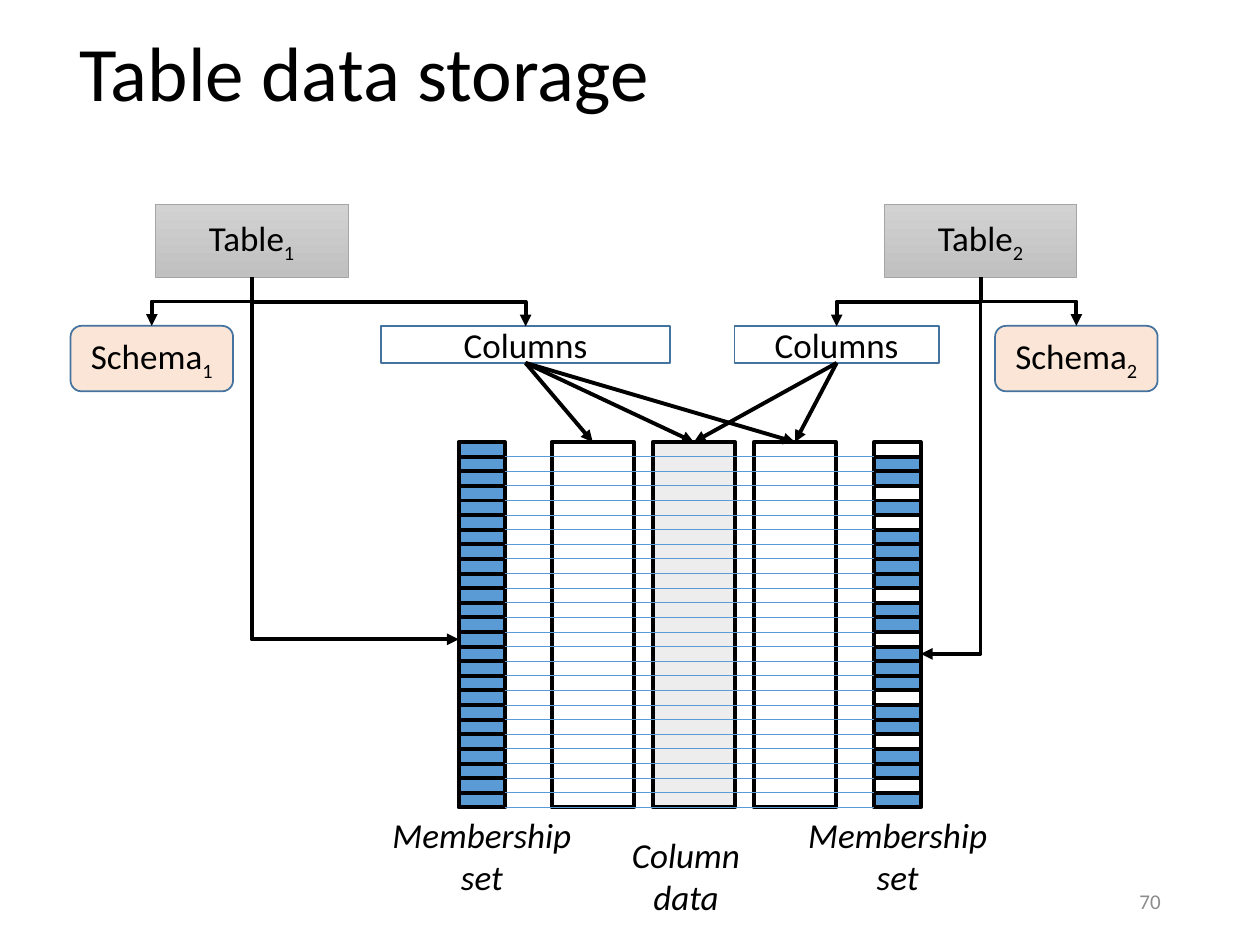
from lxml.etree import SubElement
from pptx import Presentation
from pptx.dml.color import RGBColor
from pptx.enum.shapes import MSO_CONNECTOR as Link, MSO_SHAPE as Shape
from pptx.enum.text import MSO_ANCHOR as Anchor, MSO_AUTO_SIZE as AutoSize, PP_ALIGN as Align
from pptx.oxml.ns import qn
from pptx.util import Pt

BLACK = RGBColor(0x00, 0x00, 0x00)
WHITE = RGBColor(0xFF, 0xFF, 0xFF)
BLUE = RGBColor(0x5B, 0x9B, 0xD5)
DARK_BLUE = RGBColor(0x43, 0x73, 0x9E)
PEACH = RGBColor(0xFB, 0xE5, 0xD6)
PALE_GRAY = RGBColor(0xED, 0xED, 0xED)
GRAY = RGBColor(0xA5, 0xA5, 0xA5)
NUMBER_GRAY = RGBColor(0x8C, 0x8C, 0x8C)
GRADIENT = RGBColor(0xD2, 0xD2, 0xD2), RGBColor(0xC0, 0xC0, 0xC0)

FONT = "Calibri"
TITLE = "Table data storage"
PAGE_NUMBER = "70"
TOP, BOTTOM, LEFT, RIGHT = 0, 2, 1, 3  # connection sites

ROWS = 25
ROW_HEIGHT = 8.35
DATA_TOP = 252.6
SET_WIDTH = 26.6
COLUMN_WIDTH = 47
COLUMN_LEFT, COLUMN_STEP = 315.2, 57.8
COLUMN_FILLS = [None, PALE_GRAY, None]

# Lefts (and widths) of the parts; set_row is the membership cell pointed at.
TABLES = [
    dict(number="1", table=88.7, schema=40.3, columns=(217.6, 165.4), set_left=262.1,
         uses=[0, 1, 2], set_row=13, set_side=LEFT, absent=[]),
    dict(number="2", table=505.2, schema=568.6, columns=(419.7, 116.8), set_left=499.6,
         uses=[2, 1], set_row=14, set_side=RIGHT, absent=[0, 3, 5, 10, 13, 17, 20, 23]),
]
LABELS = [  # lines, left, top, width
    (["Column", "data"], 353.5, 473, 77),
    (["Membership", "set"], 216.7, 461.5, 117.4),
    (["Membership", "set"], 454.3, 461.5, 117.4),
]


def write(frame, lines, size=20, color=BLACK, align=Align.CENTER, italic=None,
          anchor=Anchor.MIDDLE, wrap=True, subscript=""):
    frame.word_wrap = wrap
    frame.vertical_anchor = anchor
    for index, line in enumerate(lines):
        para = frame.add_paragraph() if index else frame.paragraphs[0]
        para.add_run().text = line
        if subscript:
            span = para.add_run()
            span.text = subscript
            span.font._element.set("baseline", "-25000")
        para.alignment = align
        para.font.name, para.font.size = FONT, Pt(size)
        para.font.color.rgb, para.font.italic = color, italic


def add_box(page, left, top, width, height, fill=None, line=BLACK, weight=2.25,
            kind=Shape.RECTANGLE):
    box = page.shapes.add_shape(kind, Pt(left), Pt(top), Pt(width), Pt(height))
    box.shadow.inherit = False
    if fill is None:
        box.fill.background()
    elif fill is GRADIENT:
        box.fill.gradient()
        box.fill.gradient_angle = 270
        for stop, color in zip(box.fill.gradient_stops, GRADIENT):
            stop.color.rgb = color
    else:
        box.fill.solid()
        box.fill.fore_color.rgb = fill
    box.line.color.rgb, box.line.width = line, Pt(weight)
    return box


def style_line(line, color, weight):
    line.line.color.rgb, line.line.width = color, Pt(weight)
    SubElement(line._element.spPr, qn("a:effectLst"))


def add_arrow(page, source, target, side=TOP, kind=Link.STRAIGHT):
    arrow = page.shapes.add_connector(kind, 0, 0, 0, 0)
    arrow.begin_connect(source, BOTTOM)
    arrow.end_connect(target, side)
    style_line(arrow, BLACK, 2.25)
    SubElement(arrow.line._get_or_add_ln(), qn("a:tailEnd"), type="triangle")
    if kind == Link.ELBOW:
        turn_downward(arrow, "bentConnector3" if side == TOP else "bentConnector2")
    return arrow


def turn_downward(arrow, preset):
    """Rotate an elbow so that it leaves its source vertically."""
    across, down = arrow.end_x - arrow.begin_x, arrow.end_y - arrow.begin_y
    middle_x, middle_y = arrow.begin_x + across // 2, arrow.begin_y + down // 2
    arrow.left, arrow.top = middle_x - down // 2, middle_y - abs(across) // 2
    arrow.width, arrow.height = down, abs(across)
    frame = arrow._element.spPr.find(qn("a:xfrm"))
    frame.set("rot", "16200000" if across > 0 else "5400000")
    frame.set("flipH", "1" if across > 0 else "0")
    arrow._element.spPr.find(qn("a:prstGeom")).set("prst", preset)


def add_table_tree(page, parts, data_columns):
    table = add_box(page, parts["table"], 116.7, 110.2, 41.7, GRADIENT, GRAY, 0.5)
    write(table.text_frame, ["Table"], subscript=parts["number"])
    schema = add_box(page, parts["schema"], 186.2, 92.9, 37.4, PEACH, DARK_BLUE, 1,
                     Shape.ROUNDED_RECTANGLE)
    write(schema.text_frame, ["Schema"], wrap=False, subscript=parts["number"])
    left, width = parts["columns"]
    columns = add_box(page, left, 186.5, width, 20.9, WHITE, DARK_BLUE, 1)
    write(columns.text_frame, ["Columns"])
    cells = [add_box(page, parts["set_left"], DATA_TOP + row * ROW_HEIGHT, SET_WIDTH,
                     ROW_HEIGHT, WHITE if row in parts["absent"] else BLUE)
             for row in range(ROWS)]
    for target in (schema, columns):
        add_arrow(page, table, target, kind=Link.ELBOW)
    add_arrow(page, table, cells[parts["set_row"]], parts["set_side"], Link.ELBOW)
    for index in parts["uses"]:
        add_arrow(page, columns, data_columns[index])


def main():
    deck = Presentation()
    deck.slide_width, deck.slide_height = Pt(720), Pt(540)
    page = deck.slides.add_slide(deck.slide_layouts[5])

    title = page.shapes.title
    title.left, title.top, title.width, title.height = Pt(38.2), Pt(0.7), Pt(620.6), Pt(86.4)
    write(title.text_frame, [TITLE], size=44, align=Align.LEFT)
    title.text_frame.auto_size = AutoSize.NONE
    title.text_frame.paragraphs[0].line_spacing = 0.9

    data_columns = [add_box(page, COLUMN_LEFT + index * COLUMN_STEP, DATA_TOP, COLUMN_WIDTH,
                            ROWS * ROW_HEIGHT, fill)
                    for index, fill in enumerate(COLUMN_FILLS)]
    for parts in TABLES:
        add_table_tree(page, parts, data_columns)

    for lines, left, top, width in LABELS:
        label = page.shapes.add_textbox(Pt(left), Pt(top), Pt(width), Pt(55.7))
        write(label.text_frame, lines, italic=True, anchor=Anchor.TOP, wrap=False)

    row_start, row_end = TABLES[0]["set_left"] + SET_WIDTH, TABLES[1]["set_left"]
    for row in range(1, ROWS + 1):
        y = Pt(DATA_TOP + row * ROW_HEIGHT)
        row_line = page.shapes.add_connector(Link.STRAIGHT, Pt(row_start), y, Pt(row_end), y)
        style_line(row_line, BLUE, 0.5)

    number = page.shapes.add_textbox(Pt(508.3), Pt(500.4), Pt(162), Pt(28.8))
    write(number.text_frame, [PAGE_NUMBER], size=12, color=NUMBER_GRAY, align=Align.RIGHT)
    deck.save("out.pptx")


if __name__ == "__main__":
    main()
